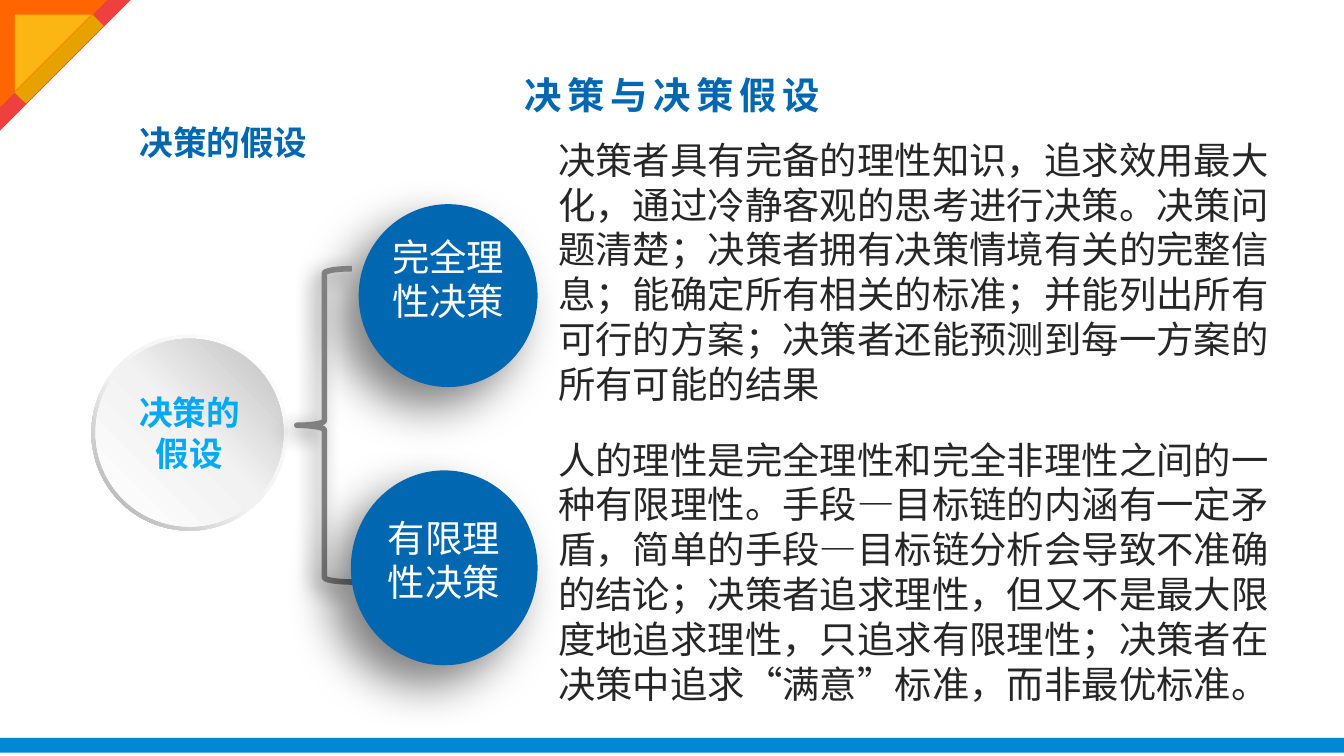
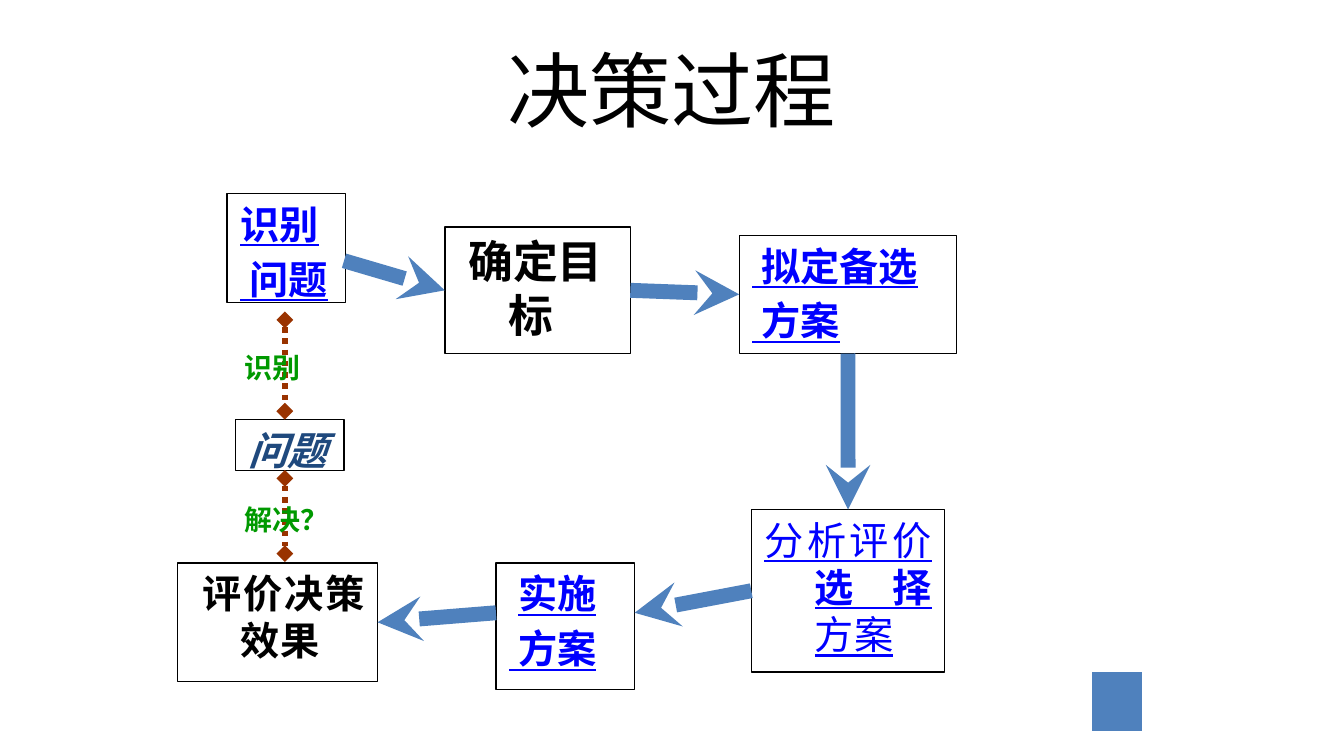
from lxml import etree
from pptx import Presentation
from pptx.dml.color import RGBColor
from pptx.enum.dml import MSO_LINE
from pptx.enum.shapes import MSO_CONNECTOR, MSO_SHAPE
from pptx.enum.text import MSO_ANCHOR, PP_ALIGN
from pptx.oxml.ns import qn
from pptx.util import Pt

WIDE, HIGH = 720, 405
HEX = {
    "blue": "0067B0", "sky": "03A9F3", "bar": "0089D2", "ink": "262626",
    "white": "FFFFFF", "black": "000000", "gray": "808080",
    "red": "EE403F", "orange": "FF6600", "amber": "FBB614", "gold": "E7A200",
    "steel": "4F81BD", "link": "0000FF", "navy": "1F497D",
    "rust": "993300", "green": "009900",
    "pale": "F2F2F2", "ash": "A6A6A6", "silver": "BFBFBF",
}
SANS, SERIF, HAN = "Arial", "Times New Roman", "Noto Sans CJK SC"
RECT, OVAL = MSO_SHAPE.RECTANGLE, MSO_SHAPE.OVAL
RING, BRACE = MSO_SHAPE.DONUT, MSO_SHAPE.LEFT_BRACE
WEDGE, BUTTON = MSO_SHAPE.RIGHT_TRIANGLE, MSO_SHAPE.ACTION_BUTTON_CUSTOM
STRAIGHT, DOTS = MSO_CONNECTOR.STRAIGHT, MSO_LINE.ROUND_DOT
LEFT, MID, FULL = PP_ALIGN.LEFT, PP_ALIGN.CENTER, PP_ALIGN.JUSTIFY
TOP, CENTER = MSO_ANCHOR.TOP, MSO_ANCHOR.MIDDLE
NORTH, WEST, SOUTH, EAST = range(4)


def color(name):
    return RGBColor.from_string(HEX[name])


def node(parent, tag, **attrs):
    item = etree.SubElement(parent, qn("a:" + tag))
    for key, value in attrs.items():
        item.set(key, str(value))
    return item


def style(run, size=20, font=SANS, ink="ink", bold=False, slant=False,
          under=False, track=0):
    face = run.font
    face.size, face.name = Pt(size), font
    face.bold, face.italic, face.underline = bold, slant, under
    face.color.rgb = color(ink)
    props = run._r.get_or_add_rPr()
    if track:
        props.set("spc", str(track * 100))
    props.find(qn("a:latin")).addnext(
        etree.Element(qn("a:ea"), typeface=HAN))


def write(shape, *paras, align=LEFT, anchor=TOP, hang=0, gap=0, size=20, **form):
    """Each paragraph is a string or a list of (text, format changes)."""
    frame = shape.text_frame
    frame.word_wrap, frame.vertical_anchor = True, anchor
    for i, runs in enumerate(paras):
        para = frame.add_paragraph() if i else frame.paragraphs[0]
        para.alignment, para.line_spacing = align, Pt(round(1.2 * size, 1))
        if i:
            para.space_before = Pt(gap)
        if hang:
            props = para._p.get_or_add_pPr()
            props.set("marL", str(Pt(hang)))
            props.set("indent", str(Pt(-hang)))
        for words, change in [(runs, {})] if isinstance(runs, str) else runs:
            run = para.add_run()
            run.text = words
            style(run, **{"size": size, **form, **change})


def label(slide, box, *paras, **form):
    shape = slide.shapes.add_textbox(*map(Pt, box))
    write(shape, *paras, **form)


def draw(slide, kind, box, fill=None, line=None, width=0.75, turn=0):
    shape = slide.shapes.add_shape(kind, *map(Pt, box))
    shape.shadow.inherit = False
    shape.rotation = turn
    if fill:
        shape.fill.solid()
        shape.fill.fore_color.rgb = color(fill)
    else:
        shape.fill.background()
    if line:
        shape.line.color.rgb = color(line)
        shape.line.width = Pt(width)
    else:
        shape.line.fill.background()
    return shape


def shade(shape, angle, *stops):
    """Fill with a linear gradient of (percent, colour) stops."""
    old = shape._element.spPr.find(qn("a:noFill"))
    grad = etree.Element(qn("a:gradFill"), rotWithShape="1")
    group = node(grad, "gsLst")
    for place, name in stops:
        node(node(group, "gs", pos=place * 1000), "srgbClr", val=HEX[name])
    node(grad, "lin", ang=angle * 60000, scaled=0)
    old.getparent().replace(old, grad)


def cast(shape, blur, dist):
    """Drop a half-clear shadow to the lower left."""
    effects = shape._element.spPr.find(qn("a:effectLst"))
    outer = node(effects, "outerShdw", blurRad=Pt(blur), dist=Pt(dist),
                 dir=135 * 60000, algn="tr", rotWithShape=0)
    node(node(outer, "srgbClr", val=HEX["black"]), "alpha", val=50000)


def link(slide, start, end, ink="steel", width=8, head=None, tail="stealth",
         dash=None):
    """Join two ends, each a point (x, y) or a (shape, side) pair."""
    loose = [end_ if isinstance(end_[0], (int, float)) else (0, 0)
             for end_ in (start, end)]
    line = slide.shapes.add_connector(
        STRAIGHT, *(Pt(n) for point in loose for n in point))
    if not isinstance(start[0], (int, float)):
        line.begin_connect(*start)
    if not isinstance(end[0], (int, float)):
        line.end_connect(*end)
    line.line.color.rgb = color(ink)
    line.line.width = Pt(width)
    if dash:
        line.line.dash_style = dash
    stroke = line.line._get_or_add_ln()
    for tag, kind in (("headEnd", head), ("tailEnd", tail)):
        if kind:
            node(stroke, tag, type=kind)
    node(line._element.spPr, "effectLst")


def corner(slide, x, y):
    for inset, side, fill in ((0, 70, "red"), (0, 57.6, "orange"),
                              (7.9, 41, "amber")):
        draw(slide, WEDGE, (x + inset, y + inset, side, side), fill, turn=90)
    draw(slide, RECT, (x + 27.4, y + 2.2, 8.6, 59), "gold", turn=45)


def disk(slide, x, y, side, words):
    ring = draw(slide, RING, (x, y, side, side))
    ring.adjustments[0] = 0.049
    shade(ring, 135, (0, "white"), (55, "pale"), (100, "ash"))
    rim = 2.2
    face = draw(slide, OVAL, (x + rim, y + rim, side - 2 * rim, side - 2 * rim))
    shade(face, 315, (0, "white"), (51, "pale"), (100, "silver"))
    write(face, words, size=18, ink="sky", bold=True, align=MID, anchor=CENTER)


def ball(slide, box, words, dx, dy, align=LEFT):
    cast(draw(slide, OVAL, box, "blue"), 25, 15)
    label(slide, (box[0] + dx, box[1] + dy, 90, 55), words, ink="white",
          align=align)


def premise(slide):
    disk(slide, 49, 179.3, 105, "决策的假设")
    ball(slide, (192.2, 109.4, 95.8, 98), "完全理性决策", 10.8, 12.3)
    cast(draw(slide, BRACE, (159, 144, 29.5, 167.8), line="gray", width=3), 11, 5)
    ball(slide, (188, 252, 100, 104.4), "有限理性决策", 4.8, 20.2, MID)
    for y, words in (
        (69.8, "决策者具有完备的理性知识，追求效用最大化，通过冷静客观的思考进行决策。"
               "决策问题清楚；决策者拥有决策情境有关的完整信息；能确定所有相关的标准；"
               "并能列出所有可行的方案；决策者还能预测到每一方案的所有可能的结果"),
        (230.4, "人的理性是完全理性和完全非理性之间的一种有限理性。手段—目标链的内涵有一定矛盾，"
                "简单的手段—目标链分析会导致不准确的结论；决策者追求理性，但又不是最大限度地追求理性，"
                "只追求有限理性；决策者在决策中追求“满意”标准，而非最优标准。"),
    ):
        label(slide, (292, y, 403.6, 152.6), words)
    draw(slide, RECT, (0, 395.3, WIDE, 7.9), "bar")
    corner(slide, 0, 0)
    label(slide, (67.7, 62, 107.3, 28.8), "决策的假设", size=18, ink="blue",
          bold=True)
    label(slide, (36, 16.6, 648, 67.7), "决策与决策假设", ink="blue", bold=True,
          track=3, align=MID, anchor=CENTER)


def step(slide, box, *paras, **form):
    shape = draw(slide, RECT, box, line="black")
    base = {"size": 21, "font": HAN, "ink": "black", "bold": True,
            "align": FULL, "hang": 27, "gap": 4.2}
    write(shape, *paras, **{**base, **form})
    return shape


def process(slide):
    label(slide, (139.7, 13.7, 450, 67.7), "决策过程 ", size=44, font=HAN,
          ink="black", align=MID, anchor=CENTER)
    href = {"ink": "link", "under": True}
    goal = step(slide, (238.3, 121.7, 99.4, 67.7), " 确定目标", size=24,
                align=LEFT)
    plan = step(slide, (396, 126, 116.6, 63.4), " 拟定备选", " 方案", **href)
    weigh = step(slide, (402.5, 273, 103.7, 87), [
        ("分析评价", {}), ("选择", {"bold": True}), ("方案", {})],
        bold=False, **href)
    step(slide, (265.7, 301.7, 74.2, 67.7),
         [(" ", {"under": False}), ("实施", {})], " 方案", **href)
    review = step(slide, (95, 301.7, 107.3, 63.4), " 评价决策效果")
    step(slide, (126, 224.6, 58.3, 27.4), "问题", ink="navy", slant=True)
    step(slide, (121.7, 103.7, 63.4, 58.3), "识别", " 问题", font=SERIF, **href)

    for start, end in (
        ((184.3, 139.7), (goal, WEST)),
        ((goal, EAST), (plan, WEST)),
        ((plan, SOUTH), (weigh, NORTH)),
        ((weigh, WEST), (340, 328.3)),
        ((265.7, 328.3), (review, EAST)),
    ):
        link(slide, start, end)
    for y, end, top, words in ((171.4, 220.3, 184.3, "识别"),
                               (256.3, 296.6, 265.7, "解决？")):
        link(slide, (152.6, y), (152.6, end), "rust", 3, "diamond", "diamond",
             DOTS)
        label(slide, (123.8, top, 73.4, 25.2), words, size=15, font=HAN,
              ink="green", bold=True, align=FULL)
    draw(slide, BUTTON, (585, 360, 27, 31.7), "steel")


def main():
    deck = Presentation()
    deck.slide_width, deck.slide_height = Pt(WIDE), Pt(HIGH)
    for build in (premise, process):
        build(deck.slides.add_slide(deck.slide_layouts[6]))
    deck.save("out.pptx")


if __name__ == "__main__":
    main()
